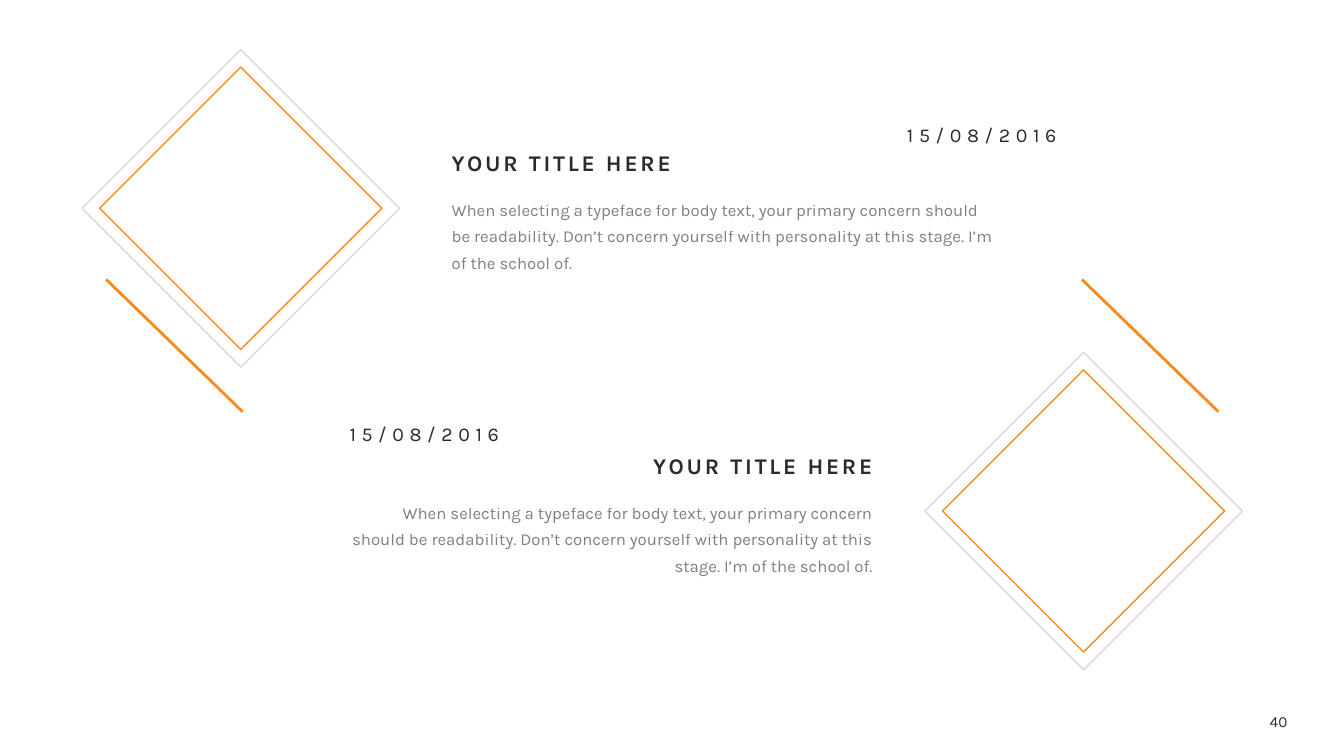
from lxml import etree
from pptx import Presentation
from pptx.dml.color import RGBColor
from pptx.enum.shapes import MSO_CONNECTOR, MSO_SHAPE
from pptx.enum.text import MSO_ANCHOR, MSO_AUTO_SIZE, PP_ALIGN
from pptx.oxml.ns import qn
from pptx.util import Pt

LEFT, RIGHT, MID = PP_ALIGN.LEFT, PP_ALIGN.RIGHT, PP_ALIGN.CENTER
TOP, CENTRE = MSO_ANCHOR.TOP, MSO_ANCHOR.MIDDLE
GROW, FIXED = MSO_AUTO_SIZE.SHAPE_TO_FIT_TEXT, MSO_AUTO_SIZE.NONE
DIAMOND, STRAIGHT = MSO_SHAPE.DIAMOND, MSO_CONNECTOR.STRAIGHT

# Colours and type styles
INK = RGBColor.from_string("2B2B2B")
THEME = {
    "accent": RGBColor.from_string("FA891E"),
    "frame": RGBColor.from_string("D9D9D9"),
    "title": {"size": 16, "bold": True, "lead": 0.9, "track": 2},
    "body": {"size": 12, "lead": 1.3, "alpha": 60, "fit": GROW},
    "date": {"size": 14, "track": 4, "wrap": False, "fit": GROW},
    "page": {"size": 11, "anchor": CENTRE},
}


def place(shape, left, top, width, height):
    box = {"left": left, "top": top, "width": width, "height": height}
    for name, value in box.items():
        setattr(shape, name, Pt(value))


def write(shape, words, style, align):
    frame = shape.text_frame
    form = {"word_wrap": style.get("wrap", True),
            "auto_size": style.get("fit", FIXED),
            "vertical_anchor": style.get("anchor", TOP)}
    for name, value in form.items():
        setattr(frame, name, value)
    para = frame.paragraphs[0]
    props = para._p.get_or_add_pPr()
    props.set("marL", "0")
    props.set("indent", "0")
    etree.SubElement(props, qn("a:buNone"))
    form = {"alignment": align, "space_before": Pt(0),
            "line_spacing": style.get("lead", 1.0)}
    for name, value in form.items():
        setattr(para, name, value)
    run = para.add_run()
    run.text = words
    form = {"name": "Karla", "size": Pt(style["size"]),
            "bold": style.get("bold", False)}
    for name, value in form.items():
        setattr(run.font, name, value)
    run.font.color.rgb = INK
    mark = run._r.get_or_add_rPr()
    if "track" in style:
        mark.set("spc", str(style["track"] * 100))
    if "alpha" in style:
        tint = mark.find(".//" + qn("a:srgbClr"))
        etree.SubElement(tint, qn("a:alpha")).set("val", str(style["alpha"] * 1000))


deck = Presentation()
deck.slide_width, deck.slide_height = Pt(960), Pt(540)
slide = deck.slides.add_slide(deck.slide_layouts[4])
shapes = slide.shapes
slots = {slot.placeholder_format.idx: slot for slot in slide.placeholders}
spare = slots[1]._element
spare.getparent().remove(spare)

TITLE = "YOUR TITLE HERE"
BODY = ("When selecting a typeface for body text, your primary concern should "
        "be readability. Don’t concern yourself with personality at this stage. "
        "I’m of the school of.")
DATE = "15/08/2016"

# Each entry: diamond centre, text box, alignment, slash start, date corner
entries = [
    {"mid": (172, 148.8), "box": (315.4, 105.3, 404), "align": LEFT,
     "slash": (75.8, 199.6), "date": (640.8, 84.2), "slots": (0, 2)},
    {"mid": (774, 365), "box": (242.6, 321.7, 388), "align": RIGHT,
     "slash": (772.8, 199.6), "date": (242.6, 297.5), "slots": (3, 4)},
]

for entry in entries:
    # Nested diamonds
    x, y = entry["mid"]
    for side, tone in ((201.6, "accent"), (226.8, "frame")):
        gem = shapes.add_shape(DIAMOND, Pt(x - side / 2), Pt(y - side / 2),
                               Pt(side), Pt(side))
        gem.shadow.inherit = False
        gem.fill.background()
        gem.line.color.rgb = THEME[tone]
        gem.line.width = Pt(1)

    # Title and body
    x, y, width = entry["box"]
    head, text = (slots[key] for key in entry["slots"])
    place(head, x, y, width, 29.6)
    write(head, TITLE, THEME["title"], entry["align"])
    place(text, x, y + 29.6, width, 64)
    write(text, BODY, THEME["body"], entry["align"])

    # Slanted line
    x, y = entry["slash"]
    slash = shapes.add_connector(STRAIGHT, Pt(x), Pt(y), Pt(x + 97.5), Pt(y + 94.5))
    slash.line.color.rgb = THEME["accent"]
    slash.line.width = Pt(2)
    etree.SubElement(slash._element.spPr, qn("a:effectLst"))

    # Date
    x, y = entry["date"]
    date = shapes.add_textbox(Pt(x), Pt(y), Pt(124.6), Pt(24.2))
    write(date, DATE, THEME["date"], LEFT)

# Page number
page = shapes.add_textbox(Pt(896.4), Pt(507.6), Pt(33.8), Pt(15.1))
write(page, "40", THEME["page"], MID)

deck.save("out.pptx")
